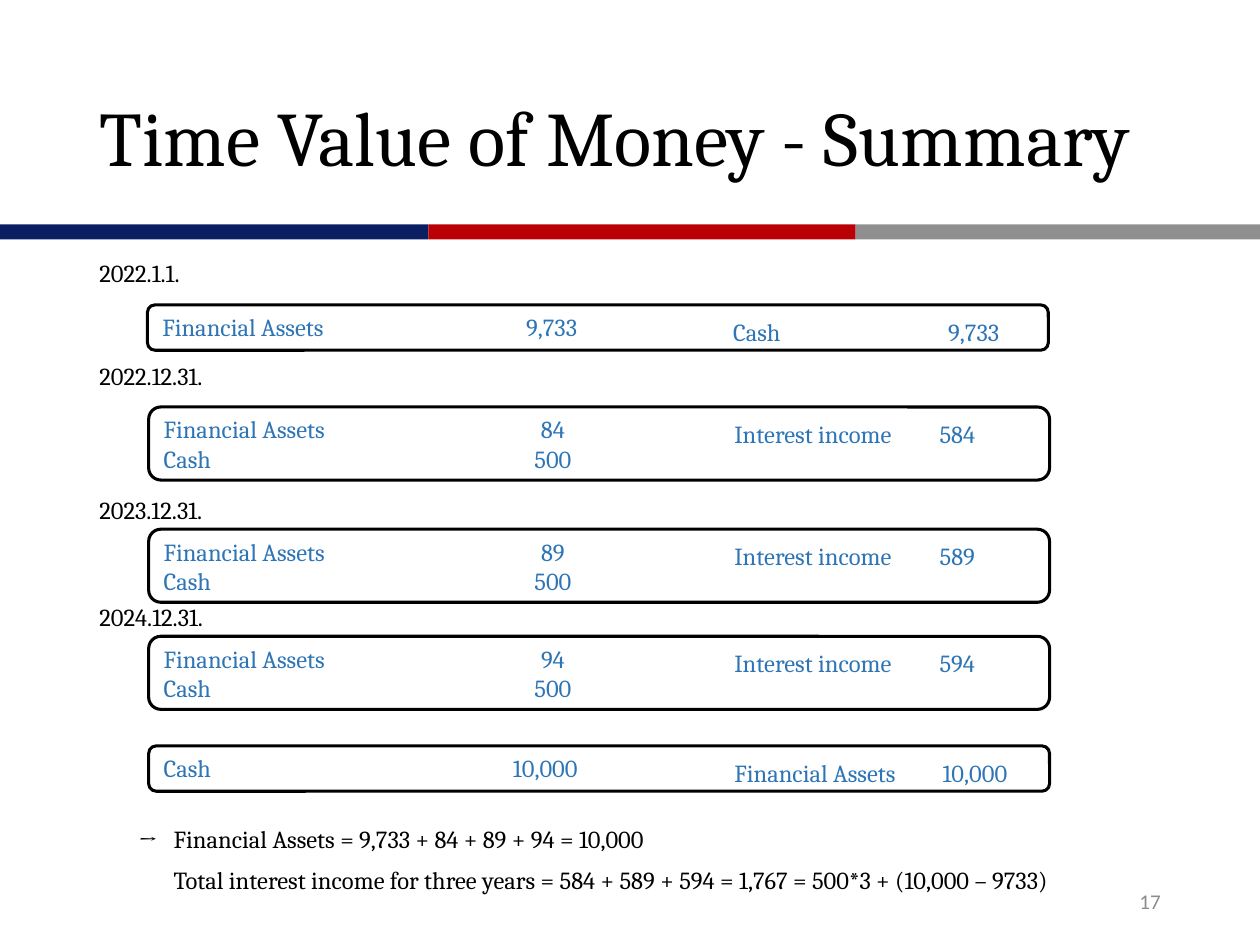
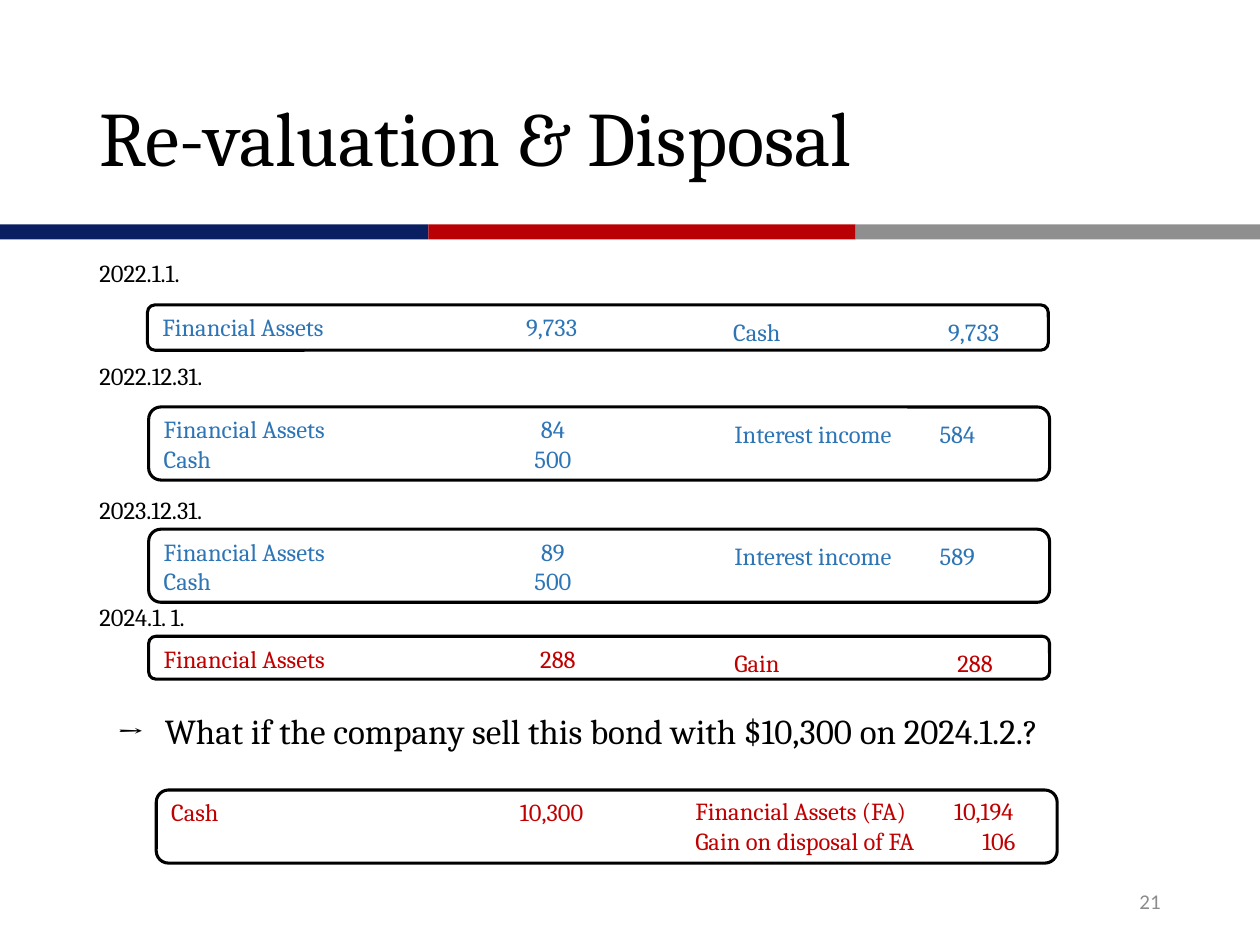
from dataclasses import dataclass

from lxml.etree import SubElement
from pptx import Presentation
from pptx.dml.color import RGBColor
from pptx.enum.shapes import MSO_SHAPE
from pptx.enum.text import MSO_ANCHOR, PP_ALIGN
from pptx.oxml.ns import qn
from pptx.util import Emu, Inches, Pt

# Grid that every position and length refers to
COLUMNS, ROWS = 100, 75


@dataclass(frozen=True)
class Theme:
    ink: str = "000000"
    entry: str = "2E75B6"
    disposal: str = "C00000"
    page: str = "8C8C8C"
    navy: str = "0A1F62"
    red: str = "B90005"
    grey: str = "8F8F8F"
    serif: str = "Cambria"
    sans: str = "Calibri"
    title_size: int = 44
    question_size: int = 20
    body_size: int = 14
    page_size: int = 12
    frame_width: float = 1.75


def write(frame, lines, *, size, color, font, align=PP_ALIGN.LEFT,
          anchor=MSO_ANCHOR.TOP, spacing=None, gap=0, hang=None, tabs=()):
    """Fill a text frame; hang is (first line, text) and tabs one centre stop a line."""
    frame.word_wrap = True
    frame.vertical_anchor = anchor
    for number, line in enumerate(lines):
        paragraph = frame.paragraphs[0] if number == 0 else frame.add_paragraph()
        properties = paragraph._p.get_or_add_pPr()
        if hang:
            first, text = hang
            properties.set("marL", str(text))
            properties.set("indent", str(first - text if "\t" in line else 0))
        if tabs:
            stops = SubElement(properties, qn("a:tabLst"))
            SubElement(stops, qn("a:tab"), pos=str(tabs[number]), algn="ctr")
        paragraph.alignment = align
        if spacing:
            paragraph.line_spacing = spacing
        if number:
            paragraph.space_before = Pt(gap)
        run = paragraph.add_run()
        run.text = line
        run.font.size = Pt(size)
        run.font.name = font
        run.font.color.rgb = RGBColor.from_string(color)


class Deck:
    def __init__(self, theme):
        self.theme = theme
        self.show = Presentation()
        self.show.slide_width, self.show.slide_height = Inches(10), Inches(7.5)
        self.slide = None

    def x(self, columns):
        return Emu(round(self.show.slide_width * columns / COLUMNS))

    def y(self, rows):
        return Emu(round(self.show.slide_height * rows / ROWS))

    def area(self, left, top, width, height):
        return self.x(left), self.y(top), self.x(width), self.y(height)

    def text(self, place, *lines, **look):
        style = dict(size=self.theme.body_size, color=self.theme.ink,
                     font=self.theme.serif) | look
        box = self.slide.shapes.add_textbox(*self.area(*place))
        write(box.text_frame, lines, **style)

    def shape(self, kind, place, fill=None):
        shape = self.slide.shapes.add_shape(kind, *self.area(*place))
        shape.shadow.inherit = False
        if fill:
            shape.fill.solid()
            shape.fill.fore_color.rgb = RGBColor.from_string(fill)
            shape.line.fill.background()
        else:
            shape.fill.background()
            shape.line.color.rgb = RGBColor.from_string(self.theme.ink)
            shape.line.width = Pt(self.theme.frame_width)

    def page(self, title, number):
        """Start a slide with its band, title and page number."""
        theme = self.theme
        self.slide = self.show.slides.add_slide(self.show.slide_layouts[6])
        edges = (0, 34, 67.9, COLUMNS)
        for start, end, color in zip(edges, edges[1:], (theme.navy, theme.red, theme.grey)):
            self.shape(MSO_SHAPE.RECTANGLE, (start, 17.8, end - start, 1.2), color)
        self.text((6.9, 4, 95.2, 14.5), title, size=theme.title_size,
                  anchor=MSO_ANCHOR.MIDDLE, spacing=0.9)
        self.text((70.6, 69.5, 22.5, 4), str(number), size=theme.page_size,
                  color=theme.page, font=theme.sans, align=PP_ALIGN.RIGHT,
                  anchor=MSO_ANCHOR.MIDDLE)

    def date(self, top, label):
        self.text((6.9, top, 30, 3.3), label)

    def entry(self, top, debits, credits, *, left=11.8, height=None, color=None,
              credit_shift=45.5, credit_spacing=Pt(20)):
        """Framed journal entry; each line is (account, amount, centre of amount)."""
        height = height or (5.8 if max(len(debits), len(credits)) > 1 else 3.6)
        sides = ((debits, 0.2, 0.1, 37.6, None),
                 (credits, credit_shift, 0, 71.5 - credit_shift, credit_spacing))
        for lines, shift, drop, width, spacing in sides:
            self.text((left + shift, top + drop, width, height),
                      *(f"{account}\t{amount}" for account, amount, _ in lines),
                      color=color or self.theme.entry, spacing=spacing,
                      tabs=[self.x(centre) for *_, centre in lines])
        self.shape(MSO_SHAPE.ROUNDED_RECTANGLE, (left, top, 71.5, height))

    def conclusion(self, top, *lines, first, text, **look):
        self.text((6.9, top, 88.3, 3.3 * len(lines)), *lines,
                  hang=(self.x(first), self.x(text)), **look)


DEBIT, CREDIT, INTEREST = 30.9, 19.1, 17.7


def interest_entry(deck, top, amortised, income):
    deck.entry(top, [("Financial Assets", amortised, DEBIT), ("Cash", "500", DEBIT)],
               [("Interest income", income, INTEREST)])


def opening_entries(deck):
    """Purchase and the first two years, which both slides show."""
    deck.date(20, "2022.1.1.")
    deck.entry(24.2, [("Financial Assets", "9,733", DEBIT)],
               [("Cash", "9,733", CREDIT)], left=11.7)
    deck.date(28.2, "2022.12.31.")
    interest_entry(deck, 32.3, "84", "584")
    deck.date(38.8, "2023.12.31.")
    interest_entry(deck, 42, "89", "589")


def summary_slide(deck):
    deck.page("Time Value of Money - Summary", 17)
    opening_entries(deck)
    deck.date(47.3, "2024.12.31.")
    interest_entry(deck, 50.5, "94", "594")
    # Redemption at maturity
    deck.entry(59.2, [("Cash", "10,000", 30.3)], [("Financial Assets", "10,000", CREDIT)])
    deck.conclusion(
        64.9, "→\tFinancial Assets = 9,733 + 84 + 89 + 94 = 10,000",
        "Total interest income for three years = 584 + 589 + 594 = 1,767"
        " = 500*3 + (10,000 – 9733)", first=3.1, text=5.9, gap=6.5)


def disposal_slide(deck):
    theme = deck.theme
    deck.page("Re-valuation & Disposal", 21)
    opening_entries(deck)
    # Revaluation
    deck.date(47.3, "2024.1. 1.")
    deck.entry(50.5, [("Financial Assets", "288", 31.3)], [("Gain", "288", CREDIT)],
               height=3.4, color=theme.disposal)
    # Sale
    deck.conclusion(55.8, "→\tWhat if the company sell this bond with $10,300 on 2024.1.2.?",
                    first=1.4, text=5.2, size=theme.question_size)
    deck.entry(62.7, [("Cash", "10,300", 30.2)],
               [("Financial Assets (FA)", "10,194", 22.9),
                ("Gain on disposal of FA", "106", 24.1)],
               left=12.4, color=theme.disposal, credit_shift=41.8, credit_spacing=None)


def main():
    deck = Deck(Theme())
    summary_slide(deck)
    disposal_slide(deck)
    deck.show.save("out.pptx")


if __name__ == "__main__":
    main()
